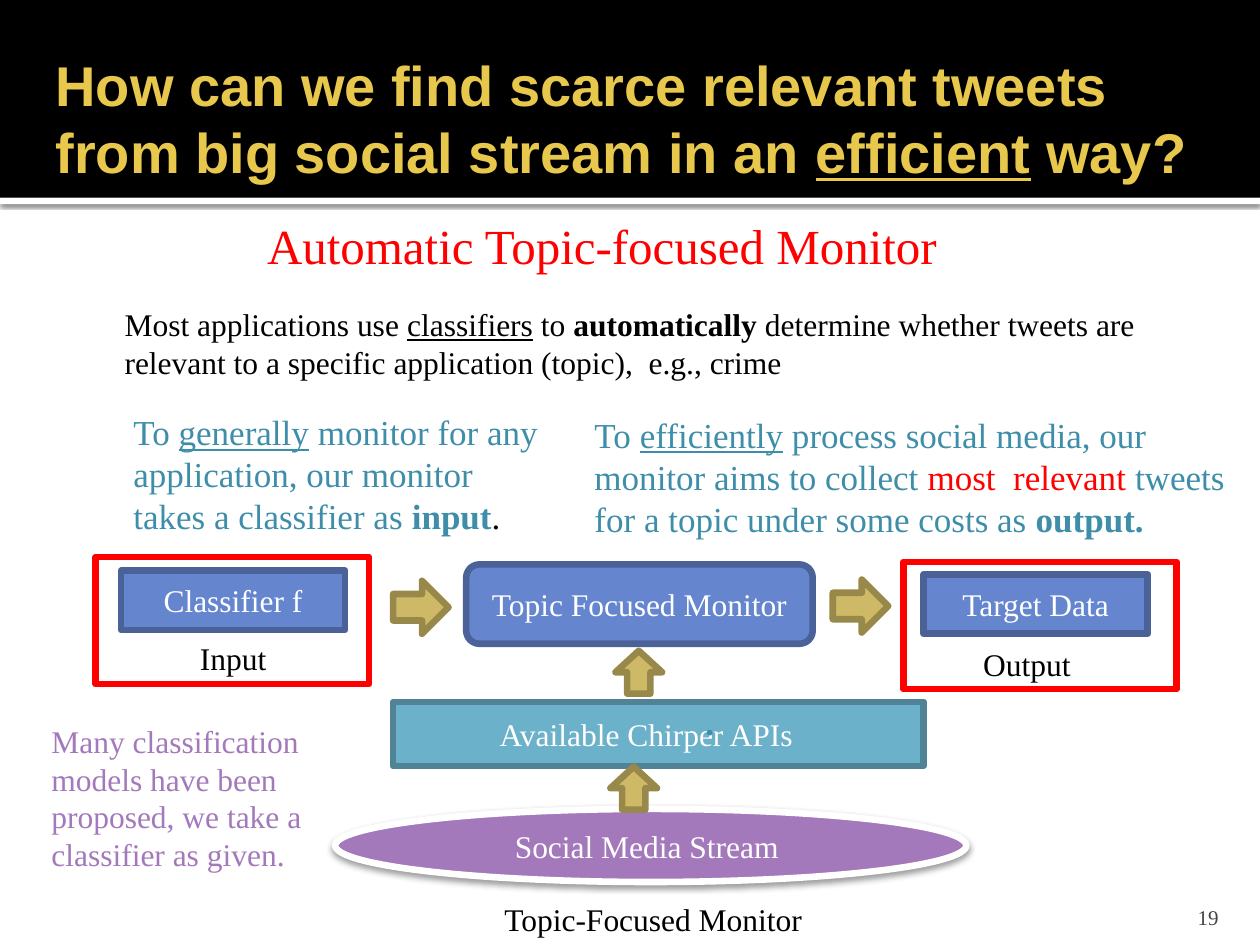
from lxml import etree
from pptx import Presentation
from pptx import util as u
from pptx.dml.color import RGBColor
from pptx.enum import shapes, text
from pptx.oxml import parse_xml
from pptx.oxml.ns import nsdecls, qn

THEME = {
    "black": "000000", "white": "FFFFFF", "gold": "E8C84C", "red": "FF0000",
    "blue": "6585CF", "blue edge": "4B6299", "teal": "6BB1C9", "teal edge": "4F8395",
    "sand": "CEB966", "sand edge": "98894B", "purple": "A379BB", "ink": "3E8EA9",
    "grey": "454545", "heading": "Arial", "body": "Times New Roman",
    "title size": 32, "subtitle size": 28, "aim size": 20, "text size": 18,
    "number size": 12, "edge": 3.78,
}
KIND = shapes.MSO_SHAPE
LEFT, CENTER, RIGHT = text.PP_ALIGN.LEFT, text.PP_ALIGN.CENTER, text.PP_ALIGN.RIGHT
TOP, MIDDLE, BOTTOM = text.MSO_ANCHOR.TOP, text.MSO_ANCHOR.MIDDLE, text.MSO_ANCHOR.BOTTOM

deck = Presentation()
deck.slide_width, deck.slide_height = u.Inches(10), u.Inches(7.5)
slide = deck.slides.add_slide(deck.slide_layouts[5])
GRID = deck.slide_width / 100  # 100 columns by 75 rows of square cells


def write(box, parts, size, color, align=LEFT, anchor=TOP, font="body",
          insets=(0.1, 0.05, 0.1, 0.05)):
    """Fill a box with runs given as (words, marks, optional colour)."""
    frame = box.text_frame
    frame.word_wrap, frame.vertical_anchor = True, anchor
    frame.auto_size = text.MSO_AUTO_SIZE.NONE
    (frame.margin_left, frame.margin_top,
     frame.margin_right, frame.margin_bottom) = map(u.Inches, insets)
    paragraph = frame.paragraphs[0]
    paragraph.alignment = align
    for words, marks, *tint in parts:
        run = paragraph.add_run()
        run.text = words
        run.font.name, run.font.size = THEME[font], u.Pt(THEME[size])
        run.font.bold, run.font.underline = "b" in marks, "u" in marks
        run.font.color.rgb = RGBColor.from_string(THEME[tint[0] if tint else color])


def draw(kind, cells, fill=None, edge=None, shadow=None):
    """Add a shape on the grid; shadow is (opacity %, blur pt, distance pt)."""
    shape = slide.shapes.add_shape(kind, *(round(cell * GRID) for cell in cells))
    shape.shadow.inherit = False
    if fill:
        shape.fill.solid()
        shape.fill.fore_color.rgb = RGBColor.from_string(THEME[fill])
    else:
        shape.fill.background()
    if edge:
        shape.line.color.rgb = RGBColor.from_string(THEME[edge])
        shape.line.width = u.Pt(THEME["edge"])
    else:
        shape.line.fill.background()
    if shadow:
        opacity, blur, distance = shadow
        effects = shape._element.spPr.find(qn("a:effectLst"))
        effects.append(parse_xml(
            f'<a:outerShdw {nsdecls("a")} blurRad="{u.Pt(blur)}" dist="{u.Pt(distance)}" '
            f'dir="5400000" rotWithShape="0"><a:srgbClr val="{THEME["black"]}">'
            f'<a:alpha val="{opacity * 1000}"/></a:srgbClr></a:outerShdw>'))
    return shape


# Header band and title
draw(KIND.RECTANGLE, (0, 15.7, 100, 0.5), "white", shadow=(60, 2.5, 0.8))
draw(KIND.RECTANGLE, (0, 0, 100, 15.7), "black")
title = slide.shapes.title
title.left, title.top, title.width, title.height = (
    round(cell * GRID) for cell in (3.4, 2.5, 94.7, 13.7))
write(title, [("How can we find scarce relevant tweets from big social stream in an ", "b"),
              ("efficient", "bu"), (" way?", "b")],
      "title size", "gold", anchor=MIDDLE, font="heading", insets=(0.1, 0.05, 0.05, 0.05))
slide.shapes._spTree.append(title._element)  # in front of the band

# Red frames around input and output
for column, row in ((7.6, 44.2), (71.7, 44.6)):
    draw(KIND.RECTANGLE, (column, row, 21.7, 10.1), edge="red")

# Diagram boxes: kind, cells, fill, edge, words, right inset, shadow
boxes = [
    (KIND.OVAL, (26.6, 64.2, 50.1, 5.8), "purple", "white",
     "Social Media Stream", 0.16, (38, 3.5, 2)),
    (KIND.RECTANGLE, (31.2, 55.7, 42.1, 5.1), "teal", "teal edge",
     "Available Chirper APIs", 0.29, None),
    (KIND.ROUNDED_RECTANGLE, (37, 44.8, 27.5, 6.3), "blue", "blue edge",
     "Topic Focused Monitor", 0.1, None),
    (KIND.RECTANGLE, (73.3, 45.6, 17.8, 4.7), "blue", "blue edge", "Target Data", 0.1, None),
    (KIND.RECTANGLE, (9.6, 45.3, 17.8, 4.7), "blue", "blue edge", "Classifier f", 0.1, None),
]
for kind, cells, fill, edge, words, inset, shadow in boxes:
    box = draw(kind, cells, fill, edge, shadow)
    write(box, [(words, "")], "text size", "white", CENTER, MIDDLE,
          insets=(0.1, 0.05, inset, 0.05))

# Block arrows: rightwards between boxes, upwards between layers
for cells, turn in (((31.2, 46.1, 4.4, 4.2), 0), ((66.1, 46, 4.4, 4.2), 0),
                    ((48.6, 60.7, 3.4, 3.7), 270), ((49, 51.5, 3.4, 3.7), 270)):
    draw(KIND.RIGHT_ARROW, cells, "sand", "sand edge").rotation = turn

# Free text: cells, runs, size, colour, further settings
passages = [
    ((19.2, 16.6, 65.8, 5.7), [("Automatic Topic-focused Monitor", "")],
     "subtitle size", "red", {"insets": (0.2, 0.05, 0.1, 0.05)}),
    ((8.9, 23.7, 84.1, 7.1),
     [("Most applications use ", ""), ("classifiers", "u"), (" to ", ""),
      ("automatically", "b"),
      (" determine whether tweets are relevant to a specific application (topic),  "
       "e.g., crime", "")], "text size", "black", {}),
    ((9.6, 32.1, 34.5, 11.1),
     [("To ", ""), ("generally", "u"),
      (" monitor for any application, our monitor takes a classifier as ", ""),
      ("input", "b"), (".", "", "black")], "aim size", "ink", {}),
    ((46.2, 32.3, 53.4, 11.1),
     [("To ", ""), ("efficiently", "u"),
      (" process social media, our monitor aims to collect ", ""),
      ("most  relevant ", "", "red"),
      ("tweets for a topic under some costs as ", ""), ("output.", "b")],
     "aim size", "ink", {}),
    ((55, 55.1, 47.1, 4.4), [(".", "b")], "aim size", "ink", {}),
    ((8.9, 50.2, 19.2, 4), [("Input", "")], "text size", "black", {"align": CENTER}),
    ((71.9, 50.7, 19.2, 4), [("Output", "")], "text size", "black", {"align": CENTER}),
    ((37.5, 70.9, 28.7, 4), [("Topic-Focused Monitor", "")],
     "text size", "black", {"align": CENTER}),
    ((3.1, 56.8, 22.4, 13.1),
     [("Many classification models have been proposed, we take a classifier as given.", "")],
     "text size", "purple", {}),
    ((89.7, 70.8, 8, 3), [("19", "")], "number size", "grey",
     {"align": RIGHT, "anchor": BOTTOM, "insets": (0.1, 0.05, 0.1, 0)}),
]
for cells, parts, size, color, settings in passages:
    passage = slide.shapes.add_textbox(*(round(cell * GRID) for cell in cells))
    write(passage, parts, size, color, **settings)

deck.save("out.pptx")
